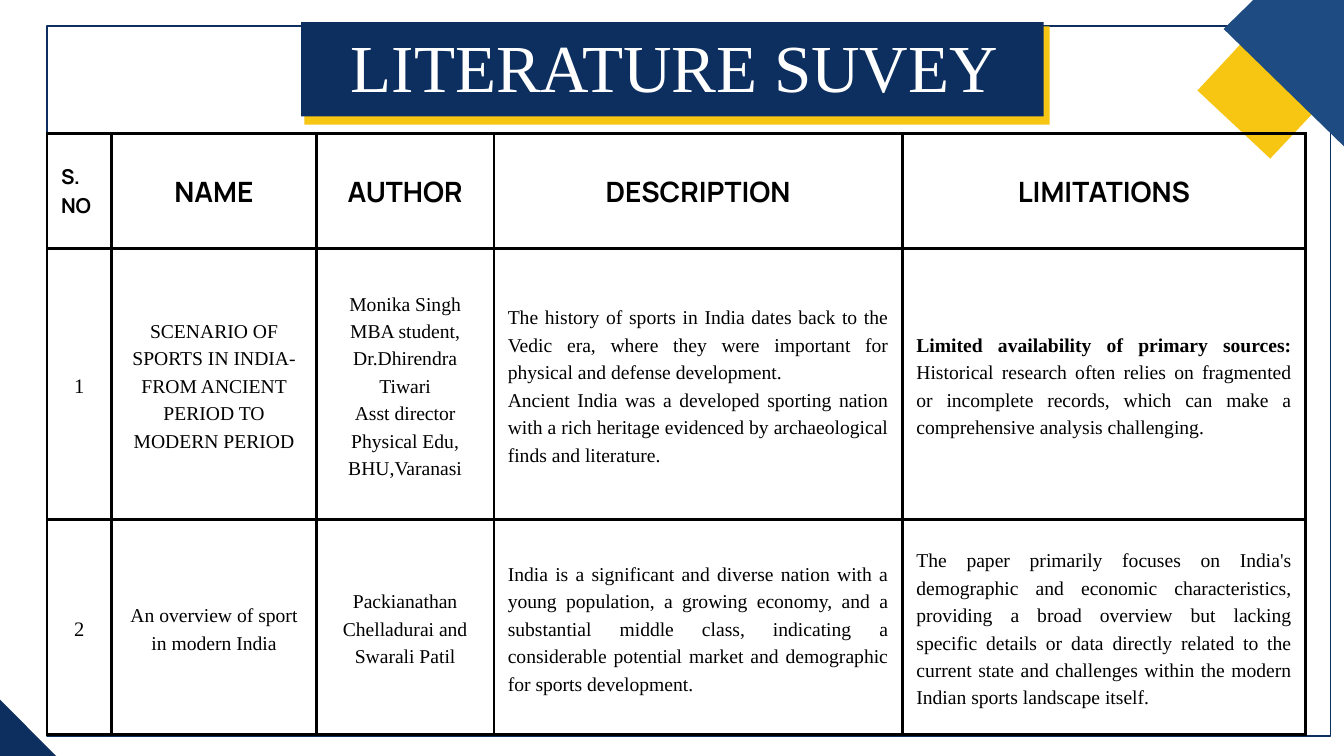
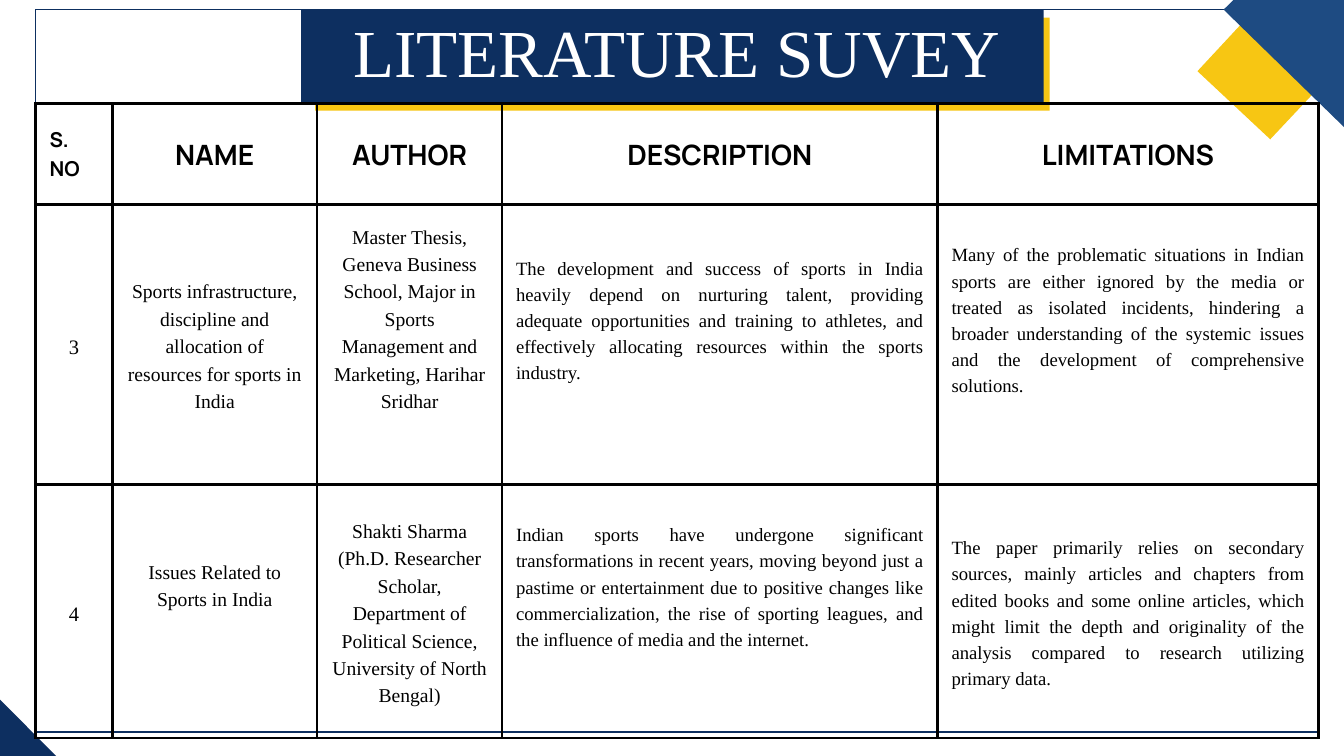
from dataclasses import dataclass

from lxml.etree import SubElement
from pptx import Presentation
from pptx.dml.color import RGBColor
from pptx.enum.shapes import MSO_SHAPE as Preset
from pptx.enum.text import MSO_ANCHOR as Anchor, MSO_AUTO_SIZE as AutoSize, PP_ALIGN as Align
from pptx.oxml.ns import qn
from pptx.util import Pt


@dataclass(frozen=True)
class Theme:
    """Colours, fonts and type sizes of the presentation."""
    navy: str = "0D2F60"
    blue: str = "1E4B82"
    yellow: str = "F7C613"
    white: str = "FFFFFF"
    black: str = "000000"
    serif: str = "Times New Roman"
    sans: str = "Manrope"
    title_size: float = 72
    header_size: float = 30
    number_size: float = 22
    body_size: float = 21
    leading: float = 1.4
    inset: float = 15
    border: float = 3
    frame_line: float = 1.5


@dataclass(frozen=True)
class Box:
    """A rectangle in points."""
    left: float
    top: float
    width: float
    height: float

    def lengths(self):
        """Return the four lengths for a shape."""
        return Pt(self.left), Pt(self.top), Pt(self.width), Pt(self.height)


@dataclass(frozen=True)
class Entry:
    """Wording of one cell, with a bold lead and empty lines kept below it."""
    text: str
    lead: str = ""
    lines_below: int = 0


@dataclass(frozen=True)
class Survey:
    """Geometry and content of one survey slide."""
    frame: Box
    ornament: tuple
    shadow: Box
    banner: Box
    title: Box
    table: Box
    columns: tuple
    rows: tuple
    papers: tuple
    detail_size: float


THEME = Theme()
TITLE = "LITERATURE SUVEY"
HEADERS = ("S.\nNO", "NAME", "AUTHOR", "DESCRIPTION", "LIMITATIONS")

SURVEYS = (
    Survey(
        frame=Box(50.4, 28, 1375, 760.5),
        ornament=(1311, 31),
        shadow=Box(326.2, 28.2, 798.5, 105.5),
        banner=Box(322.6, 23.8, 795.6, 100.8),
        title=Box(342, 13, 761.8, 108),
        table=Box(50.4, 143.2, 1348.6, 643.5),
        columns=(69.1, 219.6, 190, 437.8, 432),
        rows=(123.1, 290.2, 230.4),
        detail_size=21,
        papers=(
            (Entry("1"),
             Entry("SCENARIO OF SPORTS IN INDIA-\nFROM ANCIENT PERIOD TO MODERN PERIOD"),
             Entry("Monika Singh\nMBA student,\nDr.Dhirendra Tiwari\n"
                   "Asst director Physical Edu, BHU,Varanasi"),
             Entry("The history of sports in India dates back to the Vedic era, where they were "
                   "important for physical and defense development.\n"
                   "Ancient India was a developed sporting nation with a rich heritage evidenced "
                   "by archaeological finds and literature."),
             Entry(" Historical research often relies on fragmented or incomplete records, which "
                   "can make a comprehensive analysis challenging.",
                   lead="Limited availability of primary sources:")),
            (Entry("2"),
             Entry("An overview of sport in modern India"),
             Entry("Packianathan Chelladurai and Swarali Patil"),
             Entry("India is a significant and diverse nation with a young population, a growing "
                   "economy, and a substantial middle class, indicating a considerable potential "
                   "market and demographic for sports development."),
             Entry("The paper primarily focuses on India's demographic and economic "
                   "characteristics, providing a broad overview but lacking specific details or "
                   "data directly related to the current state and challenges within the modern "
                   "Indian sports landscape itself.")),
        ),
    ),
    Survey(
        frame=Box(38.2, 10, 1375, 774.5),
        ornament=(1311, 10.3),
        shadow=Box(337.7, 19, 787, 99.5),
        banner=Box(322.6, 10, 795.6, 100.8),
        title=Box(327.6, -3, 795.6, 108),
        table=Box(38.2, 110.9, 1375, 679.7),
        columns=(82.1, 219.6, 198, 466.6, 408.2),
        rows=(108, 300.2, 271.4),
        detail_size=20,
        papers=(
            (Entry("3"),
             Entry("Sports infrastructure, discipline and allocation of resources for sports "
                   "in India"),
             Entry("Master Thesis, Geneva Business School, Major in Sports Management and "
                   "Marketing, Harihar Sridhar", lines_below=2),
             Entry("The development and success of sports in India heavily depend on nurturing "
                   "talent, providing adequate opportunities and training to athletes, and "
                   "effectively allocating resources within the sports industry.", lines_below=2),
             Entry("Many of the problematic situations in Indian sports are either ignored by "
                   "the media or treated as isolated incidents, hindering a broader understanding "
                   "of the systemic issues and the development of comprehensive solutions.",
                   lines_below=2)),
            (Entry("4"),
             Entry("Issues Related to Sports in India", lines_below=2),
             Entry("Shakti Sharma (Ph.D. Researcher Scholar, Department of Political Science, "
                   "University of North Bengal)"),
             Entry("Indian sports have undergone significant transformations in recent years, "
                   "moving beyond just a pastime or entertainment due to positive changes like "
                   "commercialization, the rise of sporting leagues, and the influence of media "
                   "and the internet.", lines_below=2),
             Entry("The paper primarily relies on secondary sources, mainly articles and chapters "
                   "from edited books and some online articles, which might limit the depth and "
                   "originality of the analysis compared to research utilizing primary data.")),
        ),
    ),
)


def paint(shape, fill, line=None):
    """Give a shape a flat fill and an optional outline."""
    shape.shadow.inherit = False
    shape.fill.solid()
    shape.fill.fore_color.rgb = RGBColor.from_string(fill)
    if line:
        shape.line.color.rgb = RGBColor.from_string(line)
        shape.line.width = Pt(THEME.frame_line)
    else:
        shape.line.fill.background()


def add_rectangle(slide, box, fill, line=None):
    """Add a flat rectangle."""
    paint(slide.shapes.add_shape(Preset.RECTANGLE, *box.lengths()), fill, line)


def add_polygon(slide, origin, points, fill):
    """Add a closed outline whose points are relative to an origin."""
    corners = [(Pt(origin[0] + x), Pt(origin[1] + y)) for x, y in points]
    builder = slide.shapes.build_freeform(*corners[0])
    builder.add_line_segments(corners[1:], close=True)
    paint(builder.convert_to_shape(), fill)


def add_decoration(slide, survey):
    """Add the frame, the corner pieces and the title banner."""
    add_rectangle(slide, survey.frame, THEME.white, THEME.navy)
    add_polygon(slide, (0, 750), ((-90, 252), (-340, 2), (-168, -169), (81, 81)), THEME.navy)
    add_polygon(slide, survey.ornament, ((50, 139), (-28, 66), (64, -33), (143, 40)), THEME.yellow)
    add_polygon(slide, survey.ornament, ((0, 0), (142.5, -139), (142.5, 139)), THEME.blue)
    add_rectangle(slide, survey.shadow, THEME.yellow)
    add_rectangle(slide, survey.banner, THEME.navy)


def format_paragraph(paragraph, size, font, color, align, bold=False):
    """Set alignment, leading and run fonts of a paragraph."""
    paragraph.alignment = align
    paragraph.line_spacing = Pt(round(size * THEME.leading, 2))
    for run in paragraph.runs:
        run.font.size = Pt(size)
        run.font.name = font
        run.font.bold = bold
        run.font.color.rgb = RGBColor.from_string(color)


def place_title(slide, box):
    """Place the title placeholder in front of everything else."""
    title = slide.shapes.title
    title.left, title.top, title.width, title.height = box.lengths()
    frame = title.text_frame
    frame.text = TITLE
    frame.word_wrap = True
    frame.auto_size = AutoSize.NONE
    frame.vertical_anchor = Anchor.TOP
    frame.margin_left = frame.margin_top = frame.margin_right = frame.margin_bottom = 0
    format_paragraph(frame.paragraphs[0], THEME.title_size, THEME.serif, THEME.white, Align.CENTER)
    slide.shapes._spTree.append(title._element)


def add_borders(cell):
    """Draw black lines on all four sides of a cell."""
    properties = cell._tc.get_or_add_tcPr()
    for position, side in enumerate(("a:lnL", "a:lnR", "a:lnT", "a:lnB")):
        line = SubElement(properties, qn(side), w=str(Pt(THEME.border)))
        fill = SubElement(line, qn("a:solidFill"))
        SubElement(fill, qn("a:srgbClr"), val=THEME.black)
        properties.insert(position, line)


def fill_cell(cell, entry, size, font, align, bold=False):
    """Write and format one cell."""
    cell.text_frame.text = entry.text
    cell.vertical_anchor = Anchor.MIDDLE
    cell.margin_left = cell.margin_right = cell.margin_top = Pt(THEME.inset)
    cell.margin_bottom = Pt(THEME.inset + entry.lines_below * size * THEME.leading)
    cell.fill.background()
    add_borders(cell)
    first = cell.text_frame.paragraphs[0]
    if entry.lead:
        first.text = entry.lead
        first.add_run().text = entry.text
    for paragraph in cell.text_frame.paragraphs:
        format_paragraph(paragraph, size, font, THEME.black, align, bold)
    if entry.lead:
        first.runs[0].font.bold = True


def add_survey_table(slide, survey):
    """Add the table of surveyed papers."""
    shape = slide.shapes.add_table(len(survey.rows), len(survey.columns), *survey.table.lengths())
    table = shape.table
    table.first_row = table.horz_banding = False
    for column, width in zip(table.columns, survey.columns):
        column.width = Pt(width)
    for row, height in zip(table.rows, survey.rows):
        row.height = Pt(height)
    for index, header in enumerate(HEADERS):
        size, align = (THEME.header_size, Align.CENTER) if index else (THEME.number_size, Align.LEFT)
        fill_cell(table.cell(0, index), Entry(header), size, THEME.sans, align, bold=True)
    sizes = (THEME.number_size, THEME.body_size, THEME.body_size,
             survey.detail_size, survey.detail_size)
    alignments = (Align.CENTER,) * 3 + (Align.JUSTIFY,) * 2
    for row, paper in enumerate(survey.papers, 1):
        for column, (entry, size, align) in enumerate(zip(paper, sizes, alignments)):
            fill_cell(table.cell(row, column), entry, size, THEME.serif, align)


def add_survey_slide(presentation, survey):
    """Add one literature survey slide."""
    slide = presentation.slides.add_slide(presentation.slide_layouts[5])
    add_decoration(slide, survey)
    add_survey_table(slide, survey)
    place_title(slide, survey.title)


def main():
    """Build and save the presentation."""
    presentation = Presentation()
    presentation.slide_width, presentation.slide_height = Pt(1440), Pt(810)
    for survey in SURVEYS:
        add_survey_slide(presentation, survey)
    presentation.save("out.pptx")


if __name__ == "__main__":
    main()
